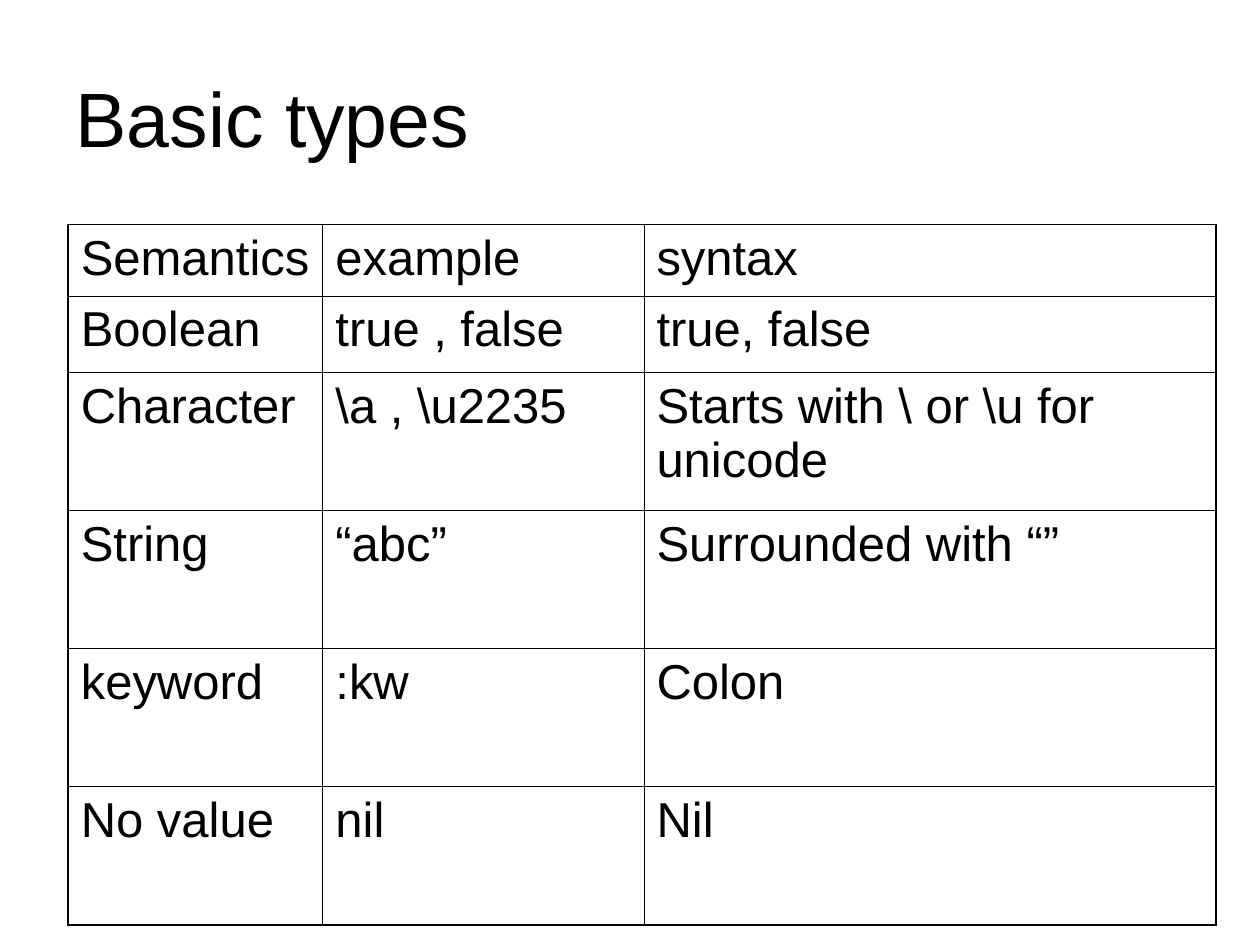
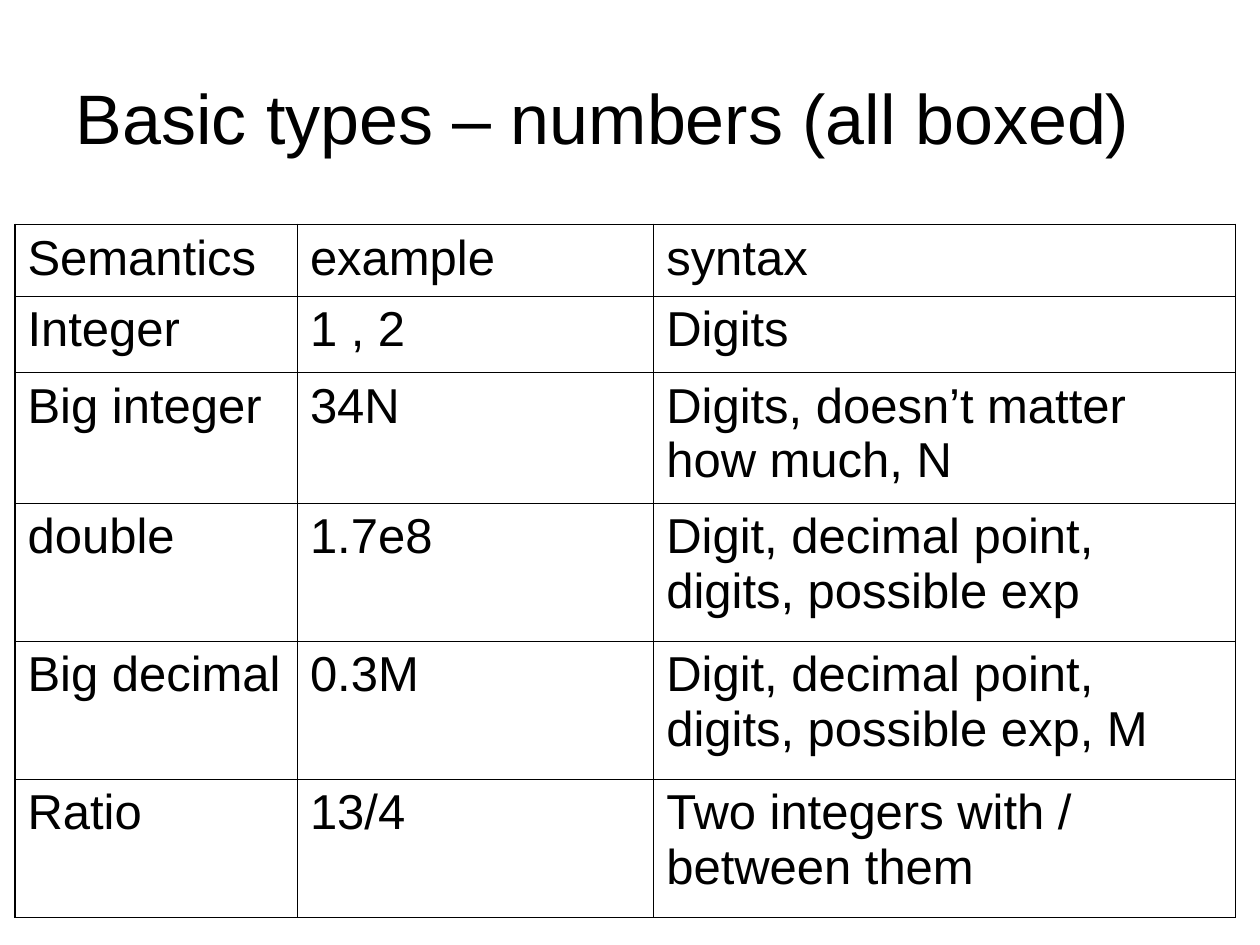
from dataclasses import dataclass

from lxml import etree
from pptx import Presentation
from pptx.dml.color import RGBColor
from pptx.enum.text import MSO_ANCHOR, MSO_AUTO_SIZE, PP_ALIGN
from pptx.oxml.ns import qn
from pptx.util import Pt

MIDDLE, TOP = MSO_ANCHOR.MIDDLE, MSO_ANCHOR.TOP
LEFT = PP_ALIGN.LEFT
NO_FIT = MSO_AUTO_SIZE.NONE
TITLE_ONLY = 5


@dataclass(frozen=True)
class Theme:
    font: str = "Arial"
    ink: str = "000000"
    paper: str = "FFFFFF"
    title_size: float = 44
    long_title_size: float = 40
    cell_size: float = 28
    outer_line: float = 1.08
    inner_line: float = 0.45
    inset_x: float = 7.2
    inset_y: float = 3.6


THEME = Theme()
TITLE_BOX = (36, 21.6, 648, 90)
TABLE_TOP = 128.3
HEADER = ("Semantics", "example", "syntax")
HEADER_HEIGHT, SINGLE_HEIGHT, DOUBLE_HEIGHT = 41.1, 43.5, 78.9

BASIC_TYPES = [
    HEADER,
    ("Boolean", "true , false", "true, false"),
    ("Character", r"\a , \u2235", r"Starts with \ or \u for unicode"),
    ("String", "“abc”", "Surrounded with “”"),
    ("keyword", ":kw", "Colon"),
    ("No value", "nil", "Nil"),
]
NUMBER_TYPES = [
    HEADER,
    ("Integer", "1 , 2", "Digits"),
    ("Big integer", "34N", "Digits, doesn’t matter how much, N"),
    ("double", "1.7e8", "Digit, decimal point, digits, possible exp"),
    ("Big decimal", "0.3M", "Digit, decimal point, digits, possible exp, M"),
    ("Ratio", "13/4", "Two integers with / between them"),
]


def put_text(text_frame, text, *, size, font, color, align=LEFT):
    text_frame.word_wrap = True
    paragraph = text_frame.paragraphs[0]
    paragraph.alignment = align
    run = paragraph.add_run()
    run.text = text
    run.font.size = Pt(size)
    run.font.name = font
    run.font.bold = False
    run.font.color.rgb = RGBColor.from_string(color)


def set_border(cell, side, width, color):
    line = etree.SubElement(cell._tc.get_or_add_tcPr(), qn(f"a:ln{side}"), w=str(Pt(width)))
    fill = etree.SubElement(line, qn("a:solidFill"))
    etree.SubElement(fill, qn("a:srgbClr"), val=color)


class Deck:
    def __init__(self, theme):
        self.theme = theme
        self.presentation = Presentation()
        self.presentation.slide_width = Pt(720)
        self.presentation.slide_height = Pt(540)
        self.slide = None

    def set_insets(self, target):
        target.margin_left = target.margin_right = Pt(self.theme.inset_x)
        target.margin_top = target.margin_bottom = Pt(self.theme.inset_y)

    def add_text(self, text_frame, text, size):
        put_text(text_frame, text, size=size, font=self.theme.font, color=self.theme.ink)

    def add_slide(self, title, size):
        layout = self.presentation.slide_layouts[TITLE_ONLY]
        self.slide = self.presentation.slides.add_slide(layout)
        background = self.slide.background.fill
        background.solid()
        background.fore_color.rgb = RGBColor.from_string(self.theme.paper)
        shape = self.slide.shapes.title
        shape.left, shape.top, shape.width, shape.height = map(Pt, TITLE_BOX)
        text_frame = shape.text_frame
        text_frame.auto_size = NO_FIT
        text_frame.vertical_anchor = MIDDLE
        self.set_insets(text_frame)
        self.add_text(text_frame, title, size)

    def add_table(self, rows, left, column_widths, row_heights):
        shape = self.slide.shapes.add_table(
            len(rows), len(column_widths), Pt(left), Pt(TABLE_TOP),
            Pt(sum(column_widths)), Pt(sum(row_heights)))
        table = shape.table
        table.first_row = table.horz_banding = False
        for column, width in zip(table.columns, column_widths):
            column.width = Pt(width)
        for row, height in zip(table.rows, row_heights):
            row.height = Pt(height)
        last_row, last_column = len(rows) - 1, len(column_widths) - 1
        for row_index, values in enumerate(rows):
            for column_index, text in enumerate(values):
                outer_sides = {
                    "L": column_index == 0,
                    "R": column_index == last_column,
                    "T": row_index == 0,
                    "B": row_index == last_row,
                }
                self.format_cell(table.cell(row_index, column_index), text, outer_sides)

    def format_cell(self, cell, text, outer_sides):
        self.set_insets(cell)
        cell.vertical_anchor = TOP
        for side, is_outer in outer_sides.items():
            width = self.theme.outer_line if is_outer else self.theme.inner_line
            set_border(cell, side, width, self.theme.ink)
        cell.fill.solid()
        cell.fill.fore_color.rgb = RGBColor.from_string(self.theme.paper)
        self.add_text(cell.text_frame, text, self.theme.cell_size)


def main():
    deck = Deck(THEME)
    deck.add_slide("Basic types", THEME.title_size)
    deck.add_table(BASIC_TYPES, 39, (145.5, 183.5, 327),
                   [HEADER_HEIGHT, SINGLE_HEIGHT] + [DOUBLE_HEIGHT] * 4)
    deck.add_slide("Basic types – numbers (all boxed)", THEME.long_title_size)
    deck.add_table(NUMBER_TYPES, 8.6, (161.4, 203.6, 332.4),
                   [HEADER_HEIGHT, SINGLE_HEIGHT, 74.7] + [DOUBLE_HEIGHT] * 3)
    deck.presentation.save("out.pptx")


if __name__ == "__main__":
    main()
